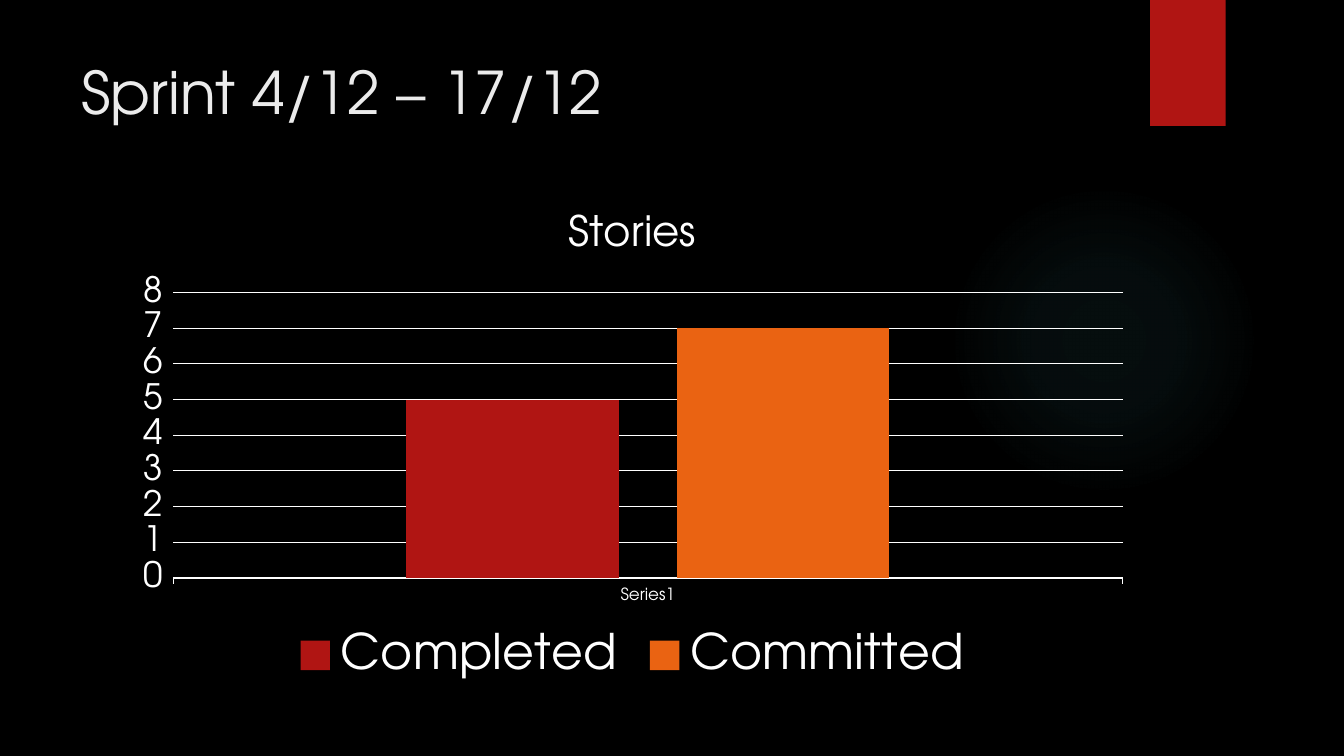
from dataclasses import dataclass
from typing import NamedTuple

from lxml.etree import SubElement
from pptx import Presentation
from pptx.chart.data import CategoryChartData as Data
from pptx.dml.color import RGBColor as Rgb
from pptx.enum.chart import XL_CHART_TYPE as Kind
from pptx.enum.chart import XL_LEGEND_POSITION as Side
from pptx.enum.chart import XL_TICK_MARK as Tick
from pptx.enum.shapes import MSO_SHAPE as Form
from pptx.oxml import parse_xml
from pptx.oxml.ns import nsdecls, qn
from pptx.util import Pt


@dataclass(frozen=True)
class Theme:
    face: str = "TeX Gyre Adventor"
    back: str = "000000"
    white: str = "FFFFFF"
    pale: str = "EBEBEB"
    red: str = "B01513"
    orange: str = "EA6312"
    glow: str = "50B9C1"
    title: float = 42
    head: float = 30
    scale: float = 25
    label: float = 12
    legend: float = 35


class Box(NamedTuple):
    left: float
    top: float
    width: float
    height: float

    def size(self) -> list:
        return [Pt(side) for side in self]


class Bar(NamedTuple):
    name: str
    value: int
    color: str


LOOK = Theme()
GLOW = Box(677.5, 131.8, 221.8, 221.8)
RIBBON = Box(821.5, 0, 54, 90)
TITLE = Box(51, 36, 741, 110)
CHART = Box(87.1, 133.9, 729.4, 357.8)
BARS = [Bar("Completed", 5, LOOK.red), Bar("Committed", 7, LOOK.orange)]
PLOT = {"x": 0.05, "y": 0.21, "w": 0.93, "h": 0.57}  # shares of the chart
FADE = [(0, 7), (36, 6), (69, 0)]  # place and opacity, per cent


def style(font, size: float, color: str = LOOK.white) -> None:
    font.name = LOOK.face
    font.size = Pt(size)
    font.bold = False
    font.color.rgb = Rgb.from_string(color)


def paint(fill, color: str) -> None:
    fill.solid()
    fill.fore_color.rgb = Rgb.from_string(color)


def add_form(slide, form: Form, box: Box, color: str):
    shape = slide.shapes.add_shape(form, *box.size())
    shape.shadow.inherit = False
    shape.line.fill.background()
    paint(shape.fill, color)
    return shape


def add_glow(slide) -> None:
    shape = add_form(slide, Form.OVAL, GLOW, LOOK.glow)
    stops = "".join(
        f'<a:gs pos="{place * 1000}"><a:srgbClr val="{LOOK.glow}">'
        f'<a:alpha val="{alpha * 1000}"/></a:srgbClr></a:gs>'
        for place, alpha in FADE
    )
    grad = parse_xml(
        f'<a:gradFill {nsdecls("a")}><a:gsLst>{stops}</a:gsLst>'
        '<a:path path="circle"><a:fillToRect l="50000" t="50000" '
        'r="50000" b="50000"/></a:path></a:gradFill>'
    )
    props = shape.element.spPr
    props.replace(props.find(qn("a:solidFill")), grad)


def add_title(slide, text: str) -> None:
    frame = slide.shapes.add_textbox(*TITLE.size()).text_frame
    frame.word_wrap = True
    frame.text = text
    style(frame.paragraphs[0].runs[0].font, LOOK.title, LOOK.pale)


def place_plot(chart) -> None:
    area = chart.element.chart.plotArea
    old = area.find(qn("c:layout"))
    if old is not None:
        area.remove(old)
    layout = parse_xml(f'<c:layout {nsdecls("c")}/>')
    area.insert(0, layout)
    manual = SubElement(layout, qn("c:manualLayout"))
    SubElement(manual, qn("c:layoutTarget")).set("val", "inner")
    for key in "xy":
        SubElement(manual, qn(f"c:{key}Mode")).set("val", "edge")
    for key, share in PLOT.items():
        SubElement(manual, qn(f"c:{key}")).set("val", str(share))


def add_bars(slide) -> None:
    data = Data(number_format="General")
    data.categories = ["Series1"]
    for bar in BARS:
        data.add_series(bar.name, [bar.value])
    chart = slide.shapes.add_chart(
        Kind.COLUMN_CLUSTERED, *CHART.size(), data
    ).chart
    style(chart.font, LOOK.label)

    # Heading and legend
    chart.has_title = True
    frame = chart.chart_title.text_frame
    frame.text = "Stories"
    style(frame.paragraphs[0].runs[0].font, LOOK.head)
    chart.has_legend = True
    chart.legend.position = Side.BOTTOM
    chart.legend.include_in_layout = False
    style(chart.legend.font, LOOK.legend)

    # Columns
    plot = chart.plots[0]
    plot.vary_by_categories = False
    plot.gap_width = 219
    plot.overlap = -27
    for series, bar in zip(plot.series, BARS):
        paint(series.format.fill, bar.color)

    # Axes
    cat, val = chart.category_axis, chart.value_axis
    val.minimum_scale, val.maximum_scale, val.major_unit = 0, 8, 1
    val.has_major_gridlines = True
    for line in (cat.format.line, val.major_gridlines.format.line):
        paint(line.fill, LOOK.white)
        line.width = Pt(0.75)
    val.format.line.fill.background()
    for axis, size in ((cat, LOOK.label), (val, LOOK.scale)):
        axis.major_tick_mark = Tick.OUTSIDE
        style(axis.tick_labels.font, size)
    place_plot(chart)


def main() -> None:
    deck = Presentation()
    deck.slide_width, deck.slide_height = Pt(960), Pt(540)
    slide = deck.slides.add_slide(deck.slide_layouts[6])
    paint(slide.background.fill, LOOK.back)

    # Backdrop
    add_glow(slide)
    add_form(slide, Form.RECTANGLE, RIBBON, LOOK.red)

    # Content
    add_title(slide, "Sprint 4/12 – 17/12")
    add_bars(slide)
    deck.save("out.pptx")


if __name__ == "__main__":
    main()
